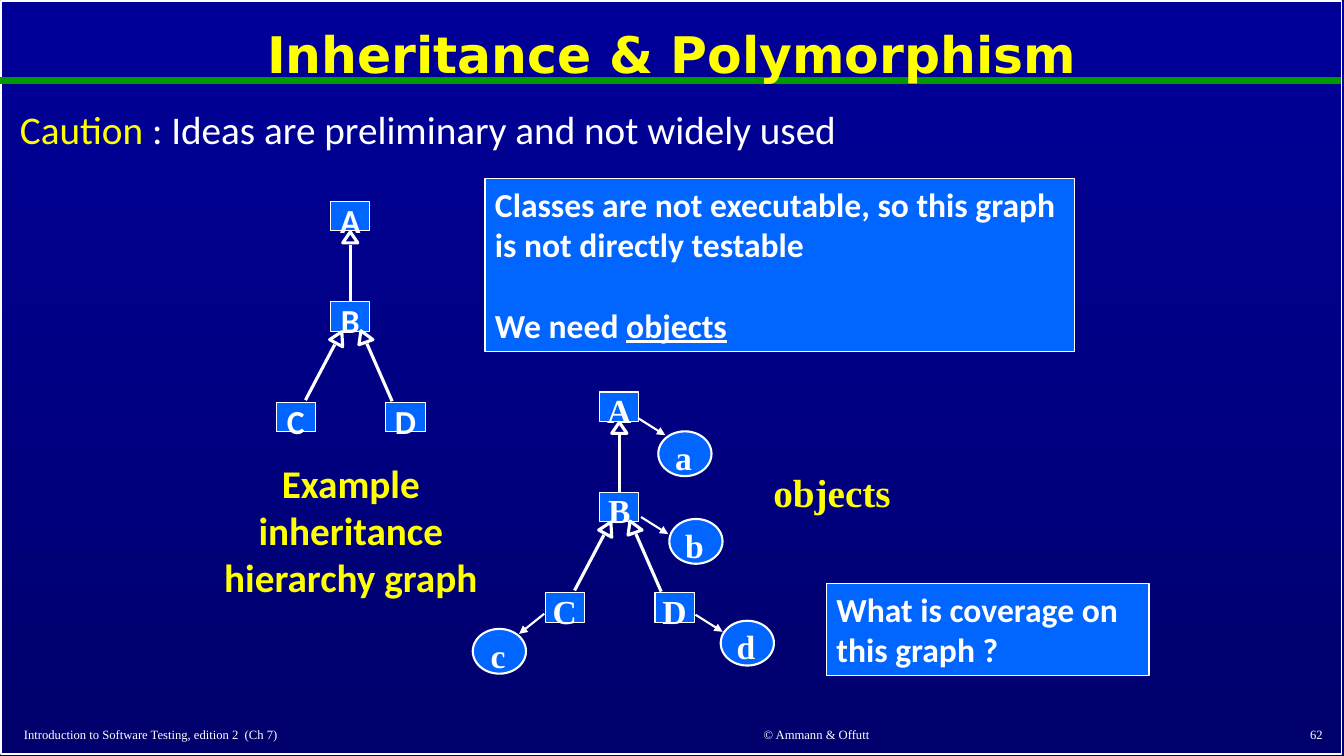
from lxml.etree import SubElement
from pptx import Presentation
from pptx.dml.color import RGBColor
from pptx.enum.shapes import MSO_CONNECTOR, MSO_SHAPE
from pptx.enum.text import MSO_ANCHOR, PP_ALIGN
from pptx.oxml.ns import qn
from pptx.util import Pt

WHITE = RGBColor(0xFF, 0xFF, 0xFF)
YELLOW = RGBColor(0xFF, 0xFF, 0x00)
GREEN = RGBColor(0x00, 0x99, 0x00)
BLUE = RGBColor(0x00, 0x66, 0xFF)
NAVY = RGBColor(0x00, 0x00, 0x99)
DARK = RGBColor(0x00, 0x00, 0x6D)

SANS, SERIF, HEAD = "Calibri", "Times New Roman", "DejaVu Sans"
LEFT, MID, RIGHT = PP_ALIGN.LEFT, PP_ALIGN.CENTER, PP_ALIGN.RIGHT

NODE_W, NODE_H = 28, 21
BALL_W, BALL_H = 38, 32
LABEL_H = 36.7
NODES = {"A": (0, 0), "B": (0, 71.5), "C": (-39, 143.5), "D": (39.5, 143.5)}
HEADS = [
    [(8.6, 29.5), (19.4, 29.5), (14, 21.6)],
    [(-0.7, 98.6), (8.6, 103.7), (8, 92.9)],
    [(20.2, 102.2), (30.2, 98.6), (21.6, 92.2)],
]
STEMS = [((2.9, 102.2), (-18, 141.8)), ((25.9, 101.5), (43.9, 142.6))]
BALLS = {
    "a": ((41.8, 28.1), (27.4, 18.7), (46.8, 30.9)),
    "b": ((49.7, 90.7), (29.5, 89.3), (48.9, 101.5)),
    "c": ((-90.7, 169.2), (-39.6, 158.4), (-57.6, 172.8)),
    "d": ((86.4, 163.4), (68.4, 159.1), (87.8, 171.3)),
}


def write(para, text, size, font, color=WHITE, bold=False, under=False):
    run = para.add_run()
    run.text = text
    run.font.size = Pt(size)
    run.font.name = font
    run.font.color.rgb = color
    run.font.bold = bold
    run.font.underline = under


def add_text(slide, box, runs, size, font, color=WHITE, bold=False,
             align=MID, anchor=MSO_ANCHOR.MIDDLE, space=None, inset=7.2):
    frame = slide.shapes.add_textbox(*map(Pt, box)).text_frame
    frame.word_wrap = True
    frame.vertical_anchor = anchor
    frame.margin_left = frame.margin_right = Pt(inset)
    para = frame.paragraphs[0]
    para.alignment = align
    if space:
        para.line_spacing = space
    for text, tint in runs:
        write(para, text, size, font, tint or color, bold)


def add_form(slide, kind, box, width, fill=BLUE):
    form = slide.shapes.add_shape(kind, *map(Pt, box))
    form.shadow.inherit = False
    if fill is None:
        form.fill.background()
    else:
        form.fill.solid()
        form.fill.fore_color.rgb = fill
    form.line.color.rgb = WHITE
    form.line.width = Pt(width)
    return form


def add_line(slide, start, end, width, color=WHITE, arrow=False):
    line = slide.shapes.add_connector(
        MSO_CONNECTOR.STRAIGHT, *map(Pt, (*start, *end)))
    line.line.color.rgb = color
    line.line.width = Pt(width)
    if arrow:
        SubElement(line.line._get_or_add_ln(), qn("a:tailEnd"), type="triangle")
    SubElement(line._element.spPr, qn("a:effectLst"))
    return line


def add_head(slide, points):
    start, *rest = [(Pt(x), Pt(y)) for x, y in points]
    path = slide.shapes.build_freeform(*start)
    path.add_line_segments(rest, close=True)
    head = path.convert_to_shape()
    head.shadow.inherit = False
    head.fill.background()
    head.line.color.rgb = WHITE
    head.line.width = Pt(2.25)


def add_tree(slide, left, top, font):
    def move(point):
        return left + point[0], top + point[1]

    nodes = {}
    for name, spot in NODES.items():
        x, y = move(spot)
        nodes[name] = add_form(
            slide, MSO_SHAPE.RECTANGLE, (x, y, NODE_W, NODE_H), 0.75)
        add_text(slide, (x, y - 5.3, NODE_W, LABEL_H), [(name, None)],
                 24, font, bold=True, inset=0)
    for points in HEADS:
        add_head(slide, [move(point) for point in points])
    stem = add_line(slide, move((14, 71.5)), move((14, 31)), 2.25)
    stem.begin_connect(nodes["B"], 0)
    for start, end in STEMS:
        add_line(slide, move(start), move(end), 2.25)


def add_balls(slide, left, top):
    for name, (spot, start, end) in BALLS.items():
        x, y = left + spot[0], top + spot[1]
        add_form(slide, MSO_SHAPE.OVAL, (x, y, BALL_W, BALL_H), 1.5)
        add_text(slide, (x - 1, y, BALL_W, LABEL_H), [(name, None)],
                 24, SERIF, bold=True, inset=0)
        add_line(slide, (left + start[0], top + start[1]),
                 (left + end[0], top + end[1]), 1.5, arrow=True)


def add_panel(slide, box, lines, gap=0):
    frame = add_form(slide, MSO_SHAPE.RECTANGLE, box, 1).text_frame
    frame.word_wrap = True
    frame.vertical_anchor = MSO_ANCHOR.TOP
    for at, runs in enumerate(lines):
        para = frame.add_paragraph() if at else frame.paragraphs[0]
        para.alignment = LEFT
        if at:
            para.space_before = Pt(gap)
        for text, under in runs:
            write(para, text, 24, SANS, bold=True, under=under)


def add_base(slide):
    fill = slide.background.fill
    fill.gradient()
    fill.gradient_angle = 270
    for stop, color in zip(fill.gradient_stops, (NAVY, DARK)):
        stop.color.rgb = color
    add_form(slide, MSO_SHAPE.RECTANGLE, (0.7, 0.7, 957.6, 537.8), 1, None)
    add_line(slide, (0, 57.6), (957.6, 57.6), 4.5, GREEN)


def add_foot(slide, top):
    for left, width, text, align in (
            (10, 394.6, "Introduction to Software Testing, edition 2  (Ch 7)", LEFT),
            (431.3, 303.8, "© Ammann & Offutt", MID),
            (751.7, 200.2, "62", RIGHT)):
        add_text(slide, (left, top, width, 19), [(text, None)], 9, SERIF, align=align)


def main():
    deck = Presentation()
    deck.slide_width, deck.slide_height = Pt(960), Pt(540)
    slide = deck.slides.add_slide(deck.slide_layouts[6])
    add_base(slide)
    add_text(slide, (7.2, 7.9, 945.4, 66.2), [("Inheritance & Polymorphism", None)],
             36, HEAD, YELLOW, True, space=0.9)
    add_text(slide, (7.2, 75.6, 945.4, 40),
             [("Caution", YELLOW),
              (" : Ideas are preliminary and not widely used", None)],
             28, SANS, align=LEFT, anchor=MSO_ANCHOR.TOP, space=0.9)
    add_text(slide, (133.2, 324, 234.7, 108.7),
             [("Example inheritance hierarchy graph", None)], 28, SANS, YELLOW, True)
    add_tree(slide, 236.2, 144, SANS)
    add_panel(slide, (346.5, 127.5, 421, 123.8),
              [[("Classes are not executable, so this graph is not directly testable", False)],
               [("We need ", False), ("objects", True)]], 29)
    add_tree(slide, 428.4, 280, SERIF)
    add_balls(slide, 428.4, 280)
    add_text(slide, (532, 330.5, 124.6, 41), [("objects", None)],
             28, SERIF, YELLOW, True)
    add_panel(slide, (590.4, 416.9, 230.4, 65.5),
              [[("What is coverage on this graph ?", False)]])
    add_foot(slide, 515)
    deck.save("out.pptx")


if __name__ == "__main__":
    main()
